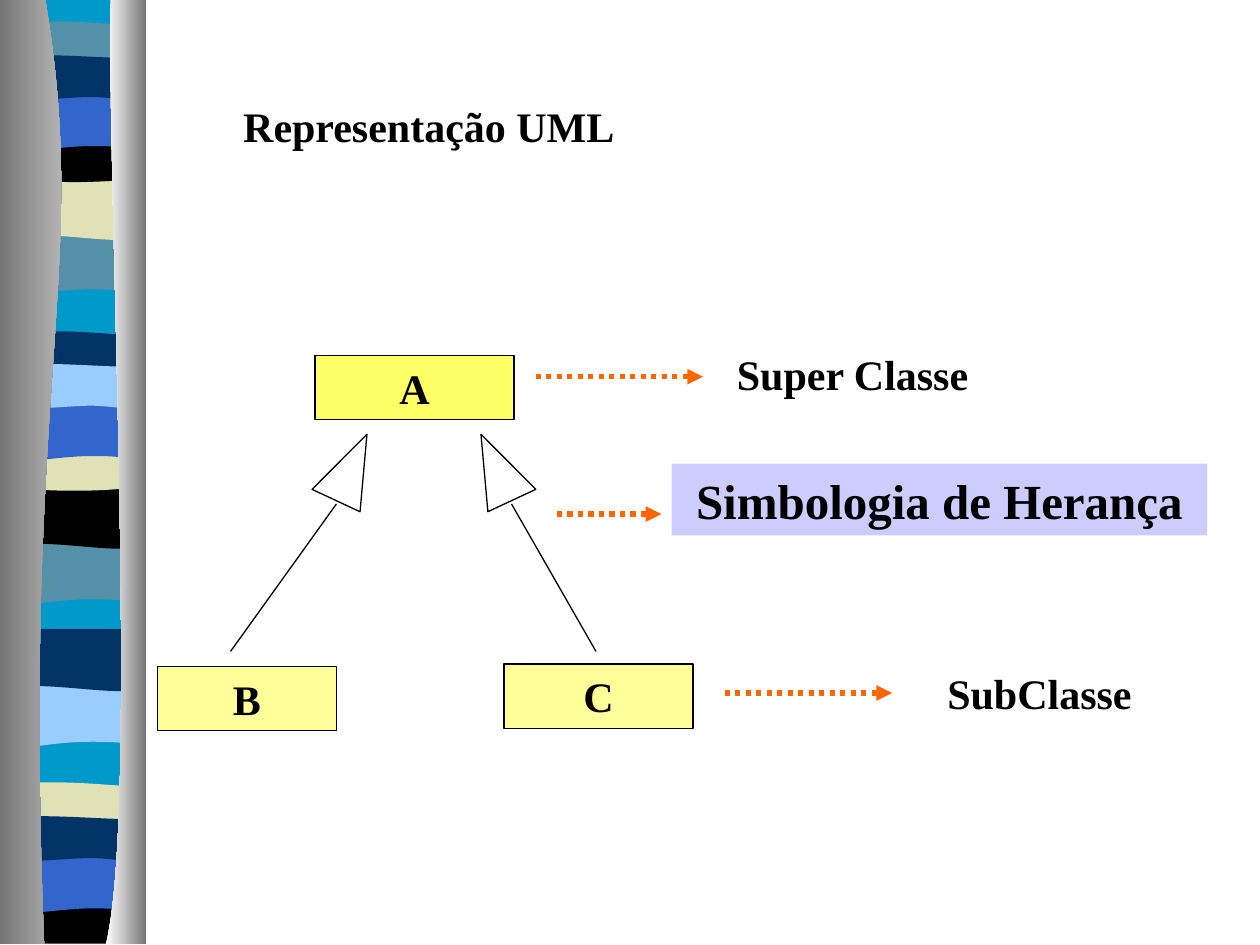
from collections import namedtuple
from dataclasses import dataclass

from lxml.etree import SubElement
from pptx import Presentation
from pptx.dml.color import RGBColor
from pptx.enum.dml import MSO_LINE
from pptx.enum.shapes import MSO_CONNECTOR, MSO_SHAPE
from pptx.enum.text import MSO_ANCHOR, PP_ALIGN
from pptx.oxml.ns import qn
from pptx.util import Pt

PX = 9144
Box = namedtuple("Box", "left top width height")


@dataclass(frozen=True)
class Theme:
    font: str = "Times New Roman"
    body_size: int = 24
    emphasis_size: int = 28
    thin_line: float = 0.75
    thick_line: float = 3
    ink: str = "000000"
    arrow: str = "FF6600"
    emphasis: str = "CCCCFF"
    parent: str = "FFFF66"
    child: str = "FFFF99"
    cyan: str = "0099CC"
    steel: str = "5490A8"
    sand: str = "E1E1B7"
    blue: str = "3366CC"
    navy: str = "003366"
    sky: str = "99CCFF"
    shade: str = "767676"
    light: str = "D0D0D0"
    white: str = "FFFFFF"


THEME = Theme()

BANDS = {
    "trough": [(109, 0), (109, 47), (34, 39, 19, 55, 0, 47), (0, 0)],
    "dune": [(109, 0), (109, 47), (91, 55, 34, 41, 1, 47), (1, 0)],
    "crest": [(109, 5), (109, 29), (91, 34, 19, 34, 0, 29), (0, 5),
              (7, 0, 24, 1, 42, 1), (60, 1, 95, 4, 109, 5)],
    "swell": [(108, 0), (108, 32), (90, 38, 18, 38, 0, 32), (0, 0),
              (66, 5, 85, 0, 108, 0)],
    "roll": [(108, 0), (108, 47), (91, 42, 84, 42, 66, 42),
             (48, 42, 16, 47, 0, 47), (0, 0)],
    "ridge": [(109, 5), (109, 36), (102, 41, 85, 36, 67, 36),
              (49, 36, 12, 41, 0, 36), (0, 5), (15, 0, 74, 5, 92, 5),
              (110, 5, 105, 5, 109, 5)],
    "base": [(108, 0), (108, 37), (0, 37), (0, 0), (66, 5, 85, 0, 108, 0)],
}

BAND_ORDER = [
    ("trough", 185, THEME.steel), ("dune", 141, THEME.sand),
    ("crest", 16, THEME.steel), ("swell", 108, THEME.ink),
    ("roll", 74, THEME.blue), ("ridge", 41, THEME.navy),
    ("trough", 431, THEME.steel), ("dune", 386, THEME.ink),
    ("crest", 262, THEME.navy), ("swell", 353, THEME.sand),
    ("roll", 320, THEME.blue), ("ridge", 286, THEME.sky),
    ("trough", 544, THEME.sky), ("dune", 499, THEME.navy),
    ("crest", 620, THEME.sand), ("base", 712, THEME.ink),
    ("roll", 679, THEME.blue), ("ridge", 645, THEME.navy),
]


def color(value):
    return RGBColor.from_string(value)


def place(shape, box):
    shape.left, shape.top, shape.width, shape.height = (value * PX for value in box)


def inside(box, left, top, width, height):
    return Box(box.left + left, box.top + top, width, height)


def write_text(shape, text, size=THEME.body_size, align=PP_ALIGN.LEFT,
               anchor=MSO_ANCHOR.TOP):
    frame = shape.text_frame
    frame.word_wrap = True
    frame.vertical_anchor = anchor
    paragraph = frame.paragraphs[0]
    paragraph.alignment = align
    run = paragraph.add_run()
    run.text = text
    run.font.name = THEME.font
    run.font.size = Pt(size)
    run.font.bold = True
    run.font.color.rgb = color(THEME.ink)


def add_label(slide, box, text):
    shape = slide.shapes.add_textbox(0, 0, 0, 0)
    place(shape, box)
    write_text(shape, text)


def add_preset(slide, kind, box, fill=None, outline=True):
    shape = slide.shapes.add_shape(kind, 0, 0, 0, 0)
    place(shape, box)
    shape.shadow.inherit = False
    if fill:
        shape.fill.solid()
        shape.fill.fore_color.rgb = color(fill)
    else:
        shape.fill.background()
    if outline:
        shape.line.color.rgb = color(THEME.ink)
        shape.line.width = Pt(THEME.thin_line)
    else:
        shape.line.fill.background()
    return shape


def add_text_rectangle(slide, box, text, fill, outline=True, size=THEME.body_size):
    shape = add_preset(slide, MSO_SHAPE.RECTANGLE, box, fill, outline)
    write_text(shape, text, size=size, align=PP_ALIGN.CENTER, anchor=MSO_ANCHOR.MIDDLE)


def add_line(slide, start, end, stroke=THEME.ink, width=THEME.thin_line, dotted_arrow=False):
    ends = [value * PX for value in (*start, *end)]
    connector = slide.shapes.add_connector(MSO_CONNECTOR.STRAIGHT, *ends)
    connector.line.color.rgb = color(stroke)
    connector.line.width = Pt(width)
    properties = connector.element.spPr
    if dotted_arrow:
        connector.line.dash_style = MSO_LINE.ROUND_DOT
        SubElement(properties.find(qn("a:ln")), qn("a:tailEnd"), type="triangle")
    SubElement(properties, qn("a:effectLst"))


def bend_segments(shape, outline):
    lines = iter(list(shape.element.iter(qn("a:lnTo"))))
    for segment in outline[1:]:
        curve = next(lines)
        if len(segment) == 2:
            continue
        curve.tag = qn("a:cubicBezTo")
        for line in (next(lines), next(lines)):
            curve.append(line[0])
            line.getparent().remove(line)


def add_outline(slide, box, outline, *fills):
    points = [segment[index:index + 2] for segment in outline
              for index in range(0, len(segment), 2)]
    builder = slide.shapes.build_freeform(*points[0], scale=PX)
    builder.add_line_segments(points[1:], close=True)
    shape = builder.convert_to_shape(box.left * PX, box.top * PX)
    bend_segments(shape, outline)
    shape.shadow.inherit = False
    shape.line.fill.background()
    if len(fills) == 1:
        shape.fill.solid()
        shape.fill.fore_color.rgb = color(fills[0])
        return
    shape.fill.gradient()
    shape.fill.gradient_angle = 0
    for stop, fill in zip(shape.fill.gradient_stops, fills):
        stop.color.rgb = color(fill)


def draw_ribbon(slide, box):
    add_preset(slide, MSO_SHAPE.RECTANGLE, inside(box, 5, 0, 109, 747), THEME.cyan, False)
    for band, top, fill in BAND_ORDER:
        add_outline(slide, inside(box, 5, top, 0, 0), BANDS[band], fill)
    left_edge = [(36, 0), (72, 216, 17, 296, 35, 749), (0, 749), (0, 0)]
    right_edge = [(88, 0), (84, 125, 111, 646, 84, 749), (116, 749), (116, 0)]
    add_outline(slide, box, left_edge, THEME.shade, THEME.light)
    add_outline(slide, box, right_edge, THEME.white, THEME.shade)


def draw_title(slide, box):
    title = slide.shapes.title
    place(title, box)
    write_text(title, "Representação UML")


def draw_callouts(slide, box):
    for left, top, length in ((0, 27, 133), (150, 278, 133), (17, 136, 83)):
        start = (box.left + left, box.top + top)
        add_line(slide, start, (start[0] + length, start[1]), THEME.arrow,
                 THEME.thick_line, dotted_arrow=True)
    add_label(slide, inside(box, 150, 0, 225, 50), "Super Classe")
    add_label(slide, inside(box, 317, 253, 167, 50), "SubClasse")
    add_text_rectangle(slide, inside(box, 108, 96, 425, 57), "Simbologia de Herança",
                       THEME.emphasis, outline=False, size=THEME.emphasis_size)


def draw_hierarchy(slide, box):
    for text, left, top, width, fill in (("A", 125, 0, 158, THEME.parent),
                                         ("B", 0, 247, 142, THEME.child),
                                         ("C", 275, 245, 150, THEME.child)):
        add_text_rectangle(slide, inside(box, left, top, width, 51), text, fill)
    for head_left, angle, line_top, line_bottom in ((133, 25, 142, 58),
                                                    (248, 335, 281, 348)):
        head = add_preset(slide, MSO_SHAPE.UP_ARROW, inside(box, head_left, 60, 42, 58))
        head.adjustments[0] = 1
        head.adjustments[1] = 1.4
        head.rotation = angle
        add_line(slide, (box.left + line_top, box.top + 118),
                 (box.left + line_bottom, box.top + 235))


def main():
    presentation = Presentation()
    presentation.slide_width = 1000 * PX
    presentation.slide_height = 750 * PX
    slide = presentation.slides.add_slide(presentation.slide_layouts[5])
    draw_ribbon(slide, Box(0, 0, 116, 750))
    draw_title(slide, Box(183, 75, 350, 51))
    draw_callouts(slide, Box(425, 272, 533, 303))
    draw_hierarchy(slide, Box(125, 282, 425, 298))
    presentation.save("out.pptx")


if __name__ == "__main__":
    main()
